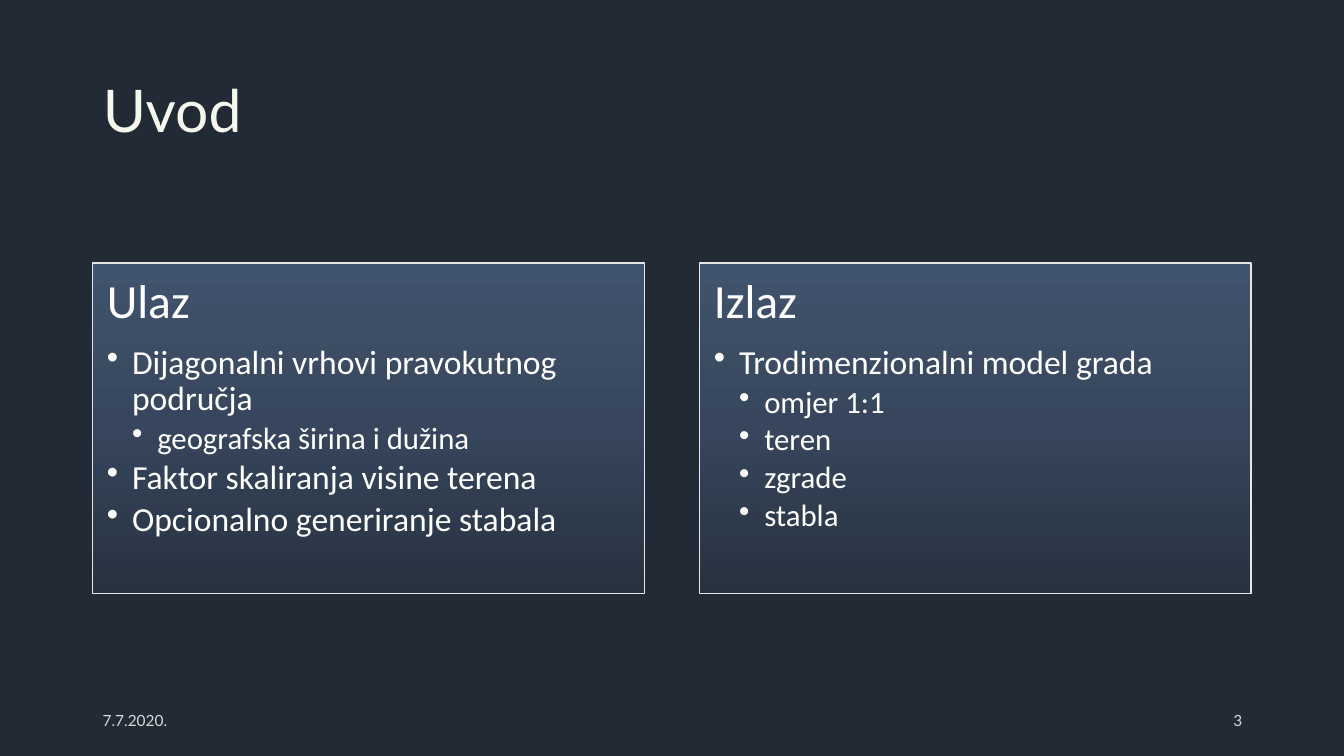
from copy import deepcopy
from dataclasses import dataclass

from lxml import etree
from pptx import Presentation
from pptx.dml.color import RGBColor
from pptx.enum.shapes import MSO_SHAPE
from pptx.enum.text import MSO_ANCHOR, MSO_AUTO_SIZE, PP_ALIGN
from pptx.oxml.ns import qn
from pptx.util import Inches, Pt

RECTANGLE = MSO_SHAPE.RECTANGLE
TOP, MIDDLE = MSO_ANCHOR.TOP, MSO_ANCHOR.MIDDLE
LEFT, RIGHT = PP_ALIGN.LEFT, PP_ALIGN.RIGHT
NO_AUTOFIT = MSO_AUTO_SIZE.NONE


@dataclass(frozen=True)
class Theme:
    background: str = "222A35"
    title: str = "F6F7ED"
    body: str = "FFFFFF"
    footer: str = "D9D9D9"
    border: str = "E7E6E6"
    gradient: tuple[str, ...] = ("273240", "37465C", "41546D")
    heading_font: str = "Lato"
    body_font: str = "Calibri"
    title_size: int = 42
    footer_size: int = 11
    level_sizes: tuple[int, ...] = (34, 24, 22)


@dataclass(frozen=True)
class Item:
    text: str
    level: int = 1


@dataclass(frozen=True)
class Panel:
    heading: str
    items: tuple[Item, ...]


@dataclass(frozen=True)
class Footer:
    text: str
    left: float
    align: PP_ALIGN


THEME = Theme()
MARGIN = 0.92
PANEL_TOP, PANEL_WIDTH, PANEL_HEIGHT, PANEL_STEP = 2.61, 5.47, 3.28, 6.02
PANEL_INSET, INDENT = 0.14, 0.25

PANELS = (
    Panel("Ulaz", (
        Item("Dijagonalni vrhovi pravokutnog područja"),
        Item("geografska širina i dužina", 2),
        Item("Faktor skaliranja visine terena"),
        Item("Opcionalno generiranje stabala"),
    )),
    Panel("Izlaz", (
        Item("Trodimenzionalni model grada"),
        Item("omjer 1:1", 2),
        Item("teren", 2),
        Item("zgrade", 2),
        Item("stabla", 2),
    )),
)
FOOTERS = (Footer("7.7.2020.", MARGIN, LEFT), Footer("3", 9.42, RIGHT))


def rgb(value: str) -> RGBColor:
    return RGBColor.from_string(value)


def write(paragraph, text: str, *, size: int, color: str, font: str,
          align: PP_ALIGN = LEFT, line: float = 1.0, after: float = 0) -> None:
    paragraph.alignment = align
    paragraph.line_spacing = line
    paragraph.space_after = Pt(after)
    run = paragraph.add_run()
    run.text = text
    run.font.size = Pt(size)
    run.font.name = font
    run.font.color.rgb = rgb(color)


def add_bullet(paragraph, level: int) -> None:
    paragraph.level = level
    properties = paragraph._p.get_or_add_pPr()
    properties.set("marL", str(Inches(INDENT * level)))
    properties.set("indent", str(-Inches(INDENT)))
    etree.SubElement(properties, qn("a:buChar")).set("char", "•")


def fill_gradient(shape, colors: tuple[str, ...]) -> None:
    shape.fill.gradient()
    shape.fill.gradient_angle = 90
    stop_list = shape._element.spPr.find(qn("a:gradFill")).find(qn("a:gsLst"))
    while len(stop_list) < len(colors):
        stop_list.append(deepcopy(stop_list[0]))
    for index, (stop, color) in enumerate(zip(shape.fill.gradient_stops, colors)):
        stop.position = index / (len(colors) - 1)
        stop.color.rgb = rgb(color)


def add_panel(slide, panel: Panel, left: float) -> None:
    box = slide.shapes.add_shape(RECTANGLE, Inches(left), Inches(PANEL_TOP),
                                 Inches(PANEL_WIDTH), Inches(PANEL_HEIGHT))
    box.shadow.inherit = False
    fill_gradient(box, THEME.gradient)
    box.line.color.rgb = rgb(THEME.border)
    box.line.width = Pt(1)
    frame = box.text_frame
    frame.word_wrap = True
    frame.vertical_anchor = TOP
    frame.margin_left = frame.margin_right = Inches(PANEL_INSET)
    frame.margin_top = frame.margin_bottom = Inches(PANEL_INSET)

    heading_size = THEME.level_sizes[0]
    write(frame.paragraphs[0], panel.heading, size=heading_size, color=THEME.body,
          font=THEME.body_font, line=0.9, after=heading_size * 0.35)
    for item in panel.items:
        paragraph = frame.add_paragraph()
        add_bullet(paragraph, item.level)
        size = THEME.level_sizes[item.level]
        write(paragraph, item.text, size=size, color=THEME.body,
              font=THEME.body_font, line=0.9, after=size * 0.15)


def add_footer(slide, footer: Footer) -> None:
    box = slide.shapes.add_textbox(Inches(footer.left), Inches(6.95),
                                   Inches(3), Inches(0.4))
    box.text_frame.word_wrap = True
    box.text_frame.vertical_anchor = MIDDLE
    write(box.text_frame.paragraphs[0], footer.text, size=THEME.footer_size,
          color=THEME.footer, font=THEME.heading_font, align=footer.align, after=6)


def set_title(slide, text: str) -> None:
    title = slide.shapes.title
    title.left, title.top = Inches(MARGIN), Inches(0.4)
    title.width, title.height = Inches(11.5), Inches(1.45)
    title.text_frame.auto_size = NO_AUTOFIT
    title.text_frame.vertical_anchor = MIDDLE
    write(title.text_frame.paragraphs[0], text, size=THEME.title_size,
          color=THEME.title, font=THEME.heading_font, line=0.9)


def main() -> None:
    deck = Presentation()
    deck.slide_width, deck.slide_height = Inches(13.33), Inches(7.5)
    slide = deck.slides.add_slide(deck.slide_layouts[5])
    slide.background.fill.solid()
    slide.background.fill.fore_color.rgb = rgb(THEME.background)

    # Title
    set_title(slide, "Uvod")

    # Input and output panels
    for index, panel in enumerate(PANELS):
        add_panel(slide, panel, MARGIN + index * PANEL_STEP)

    # Date and slide number
    for footer in FOOTERS:
        add_footer(slide, footer)

    deck.save("out.pptx")


if __name__ == "__main__":
    main()
